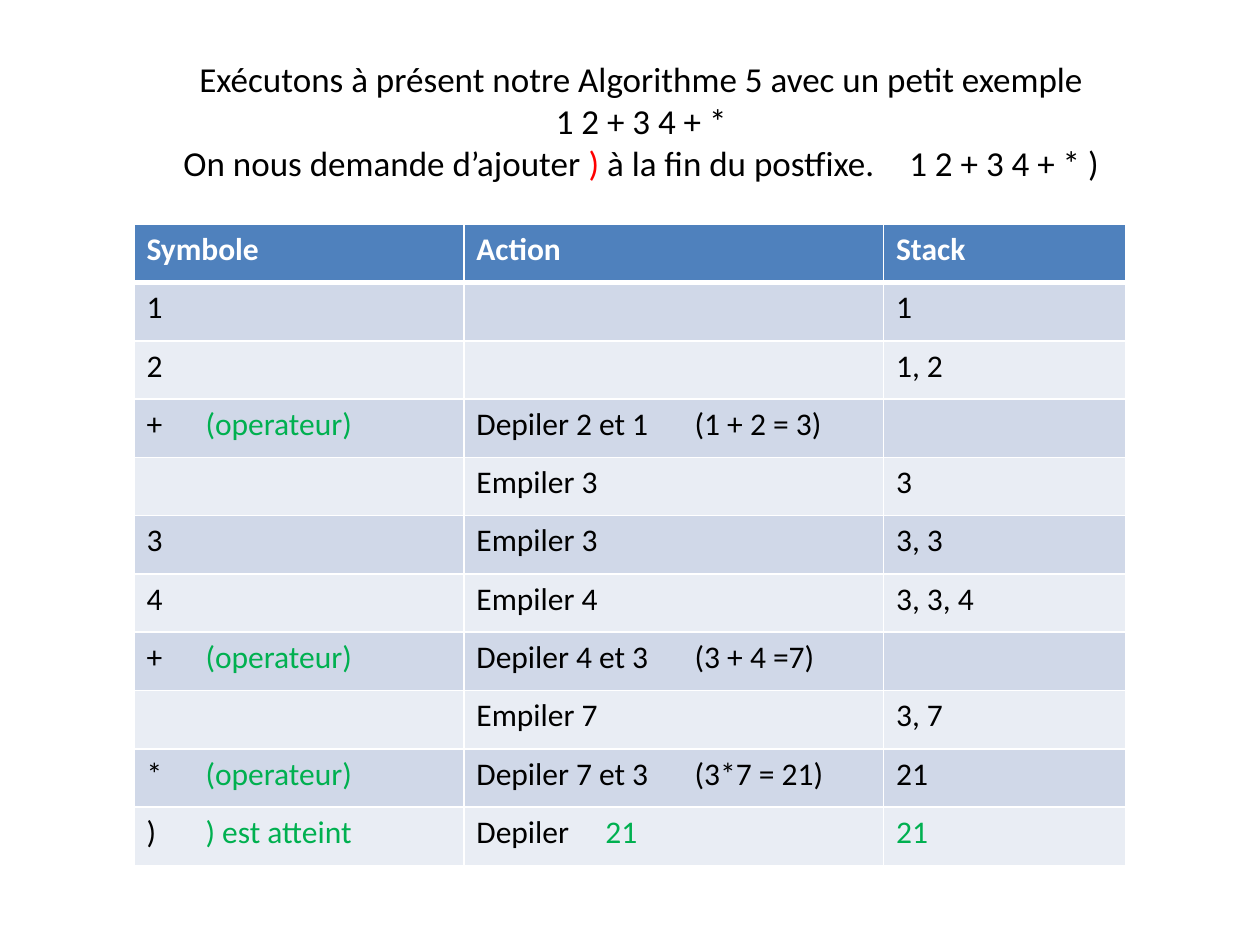
from lxml.etree import SubElement
from pptx import Presentation
from pptx.dml.color import RGBColor
from pptx.enum.text import MSO_ANCHOR as Anchor, PP_ALIGN as Align
from pptx.oxml import parse_xml
from pptx.oxml.ns import nsdecls, qn
from pptx.util import Cm, Pt

BLACK, WHITE, RED, GREEN = "000000", "FFFFFF", "FF0000", "00B050"
HEADER_FILL, BANDS = "4F81BD", ("D0D8E8", "E9EDF4")
OPERATOR = ("\t(operateur)", GREEN)

TITLE = [
    ["Exécutons à présent notre Algorithme 5 avec un petit exemple"],
    ["1 2 + 3 4 + *"],
    ["On nous demande d’ajouter ", (")", RED),
     " à la fin du postfixe.\u20031 2 + 3 4 + * )"],
]
COL_WIDTHS = (6.65, 8.46, 4.88)
ROW_HEIGHT = 1.175
TAB_STOPS = (1.19, 4.4, None)
RESULT_TAB = 2.6
HEADER = ("Symbole", "Action", "Stack")
STEPS = [
    (["1"], [], ["1"]),
    (["2"], [], ["1, 2"]),
    (["+", OPERATOR], ["Depiler 2 et 1\t(1 + 2 = 3)"], []),
    ([], ["Empiler 3"], ["3"]),
    (["3"], ["Empiler 3"], ["3, 3"]),
    (["4"], ["Empiler 4"], ["3, 3, 4"]),
    (["+", OPERATOR], ["Depiler 4 et 3\t(3 + 4 =7)"], []),
    ([], ["Empiler 7"], ["3, 7"]),
    (["*", OPERATOR], ["Depiler 7 et 3\t(3*7 = 21)"], ["21"]),
    ([")", ("\t) est atteint", GREEN)], ["Depiler", ("\t21", GREEN)], [("21", GREEN)]),
]


def rgb(value):
    """Turn a hex string into a colour."""
    return RGBColor.from_string(value)


def add_runs(p, parts, color=BLACK, **font):
    """Write parts, plain strings or (text, colour) pairs, as runs."""
    for part in parts:
        text, shade = part if isinstance(part, tuple) else (part, color)
        r = p.add_run()
        r.text = text
        r.font.color.rgb = rgb(shade)
        for name, value in {"name": "Calibri", **font}.items():
            setattr(r.font, name, value)


def set_tab(p, position):
    """Give a paragraph one left tab stop, in centimetres."""
    tabs = SubElement(p._p.get_or_add_pPr(), qn("a:tabLst"))
    SubElement(tabs, qn("a:tab"), pos=str(int(Cm(position))), algn="l")


def set_borders(cell, top=1, bottom=1):
    """Draw white lines, widths in points, around a cell."""
    widths = {"lnL": 1, "lnR": 1, "lnT": top, "lnB": bottom}
    for i, (side, width) in enumerate(widths.items()):
        line = parse_xml(
            f'<a:{side} {nsdecls("a")} w="{int(Pt(width))}"><a:solidFill>'
            f'<a:srgbClr val="{WHITE}"/></a:solidFill></a:{side}>')
        cell._tc.get_or_add_tcPr().insert(i, line)


def fill_cell(cell, parts, fill, tab=None, top=1, bottom=1, **font):
    """Set the fill, borders and text of a table cell."""
    cell.fill.solid()
    cell.fill.fore_color.rgb = rgb(fill)
    set_borders(cell, top, bottom)
    p = cell.text_frame.paragraphs[0]
    p.font.size = Pt(18)
    if any("\t" in str(part[0] if isinstance(part, tuple) else part) for part in parts):
        set_tab(p, tab)
    add_runs(p, parts, size=Pt(18), **font)


def add_title(s):
    """Add the centred three-line heading."""
    tf = s.shapes.add_textbox(Cm(1.5), Cm(0.53), Cm(22.86), Cm(3.81)).text_frame
    for name, value in {"word_wrap": True, "vertical_anchor": Anchor.MIDDLE}.items():
        setattr(tf, name, value)
    for i, parts in enumerate(TITLE):
        p = tf.add_paragraph() if i else tf.paragraphs[0]
        p.alignment = Align.CENTER
        add_runs(p, parts, size=Pt(20))


def add_steps_table(s):
    """Add the table that traces the evaluation of the expression."""
    rows = len(STEPS) + 1
    table = s.shapes.add_table(rows, len(HEADER), Cm(2.7), Cm(4.52),
                               Cm(sum(COL_WIDTHS)), Cm(ROW_HEIGHT * rows)).table
    for col, width in zip(table.columns, COL_WIDTHS):
        col.width = Cm(width)
    for row in table.rows:
        row.height = Cm(ROW_HEIGHT)
    for c, label in enumerate(HEADER):
        fill_cell(table.cell(0, c), [label], HEADER_FILL, bottom=3, color=WHITE, bold=True)
    for i, step in enumerate(STEPS):
        for c, parts in enumerate(step):
            tab = RESULT_TAB if parts[:1] == ["Depiler"] else TAB_STOPS[c]
            fill_cell(table.cell(i + 1, c), parts, BANDS[i % 2], tab, top=1 if i else 3)


def main():
    """Build and save the slide."""
    prs = Presentation()
    prs.slide_width, prs.slide_height = Cm(25.4), Cm(19.05)
    s = prs.slides.add_slide(prs.slide_layouts[6])
    add_title(s)
    add_steps_table(s)
    prs.save("out.pptx")


main()
